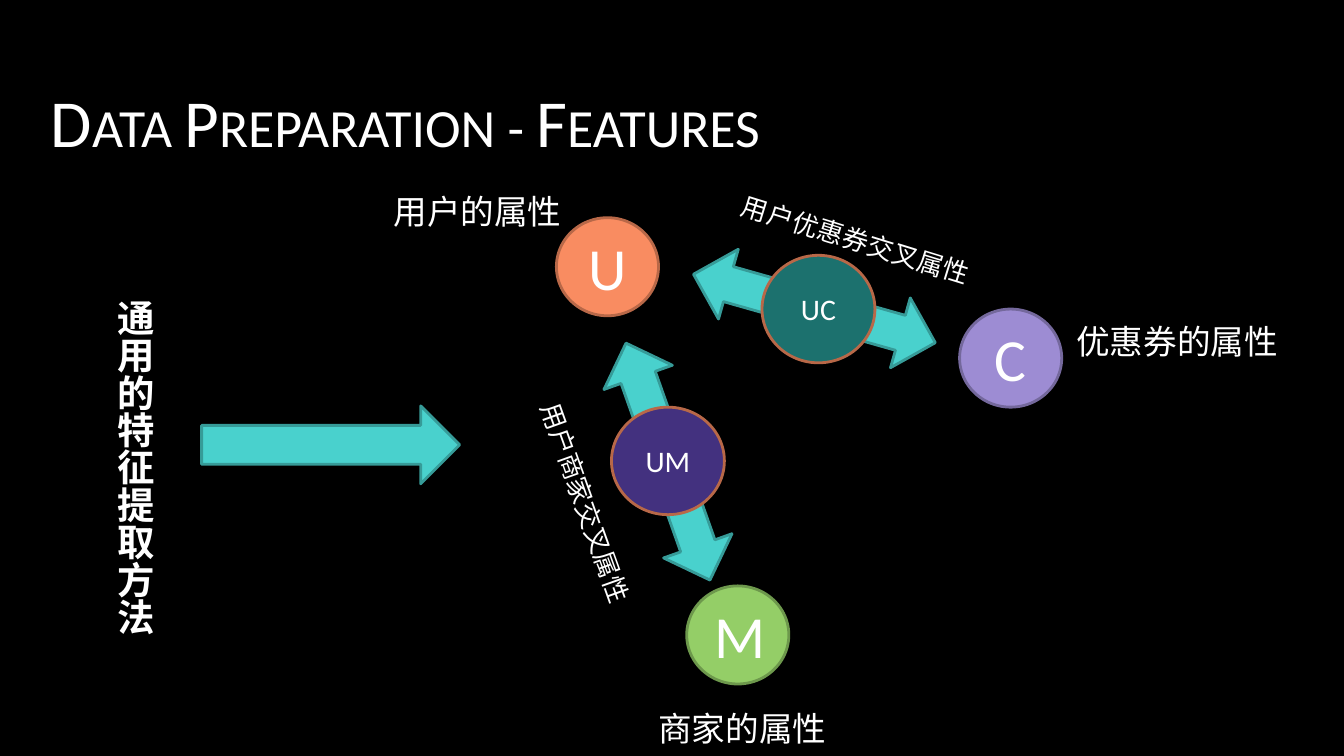
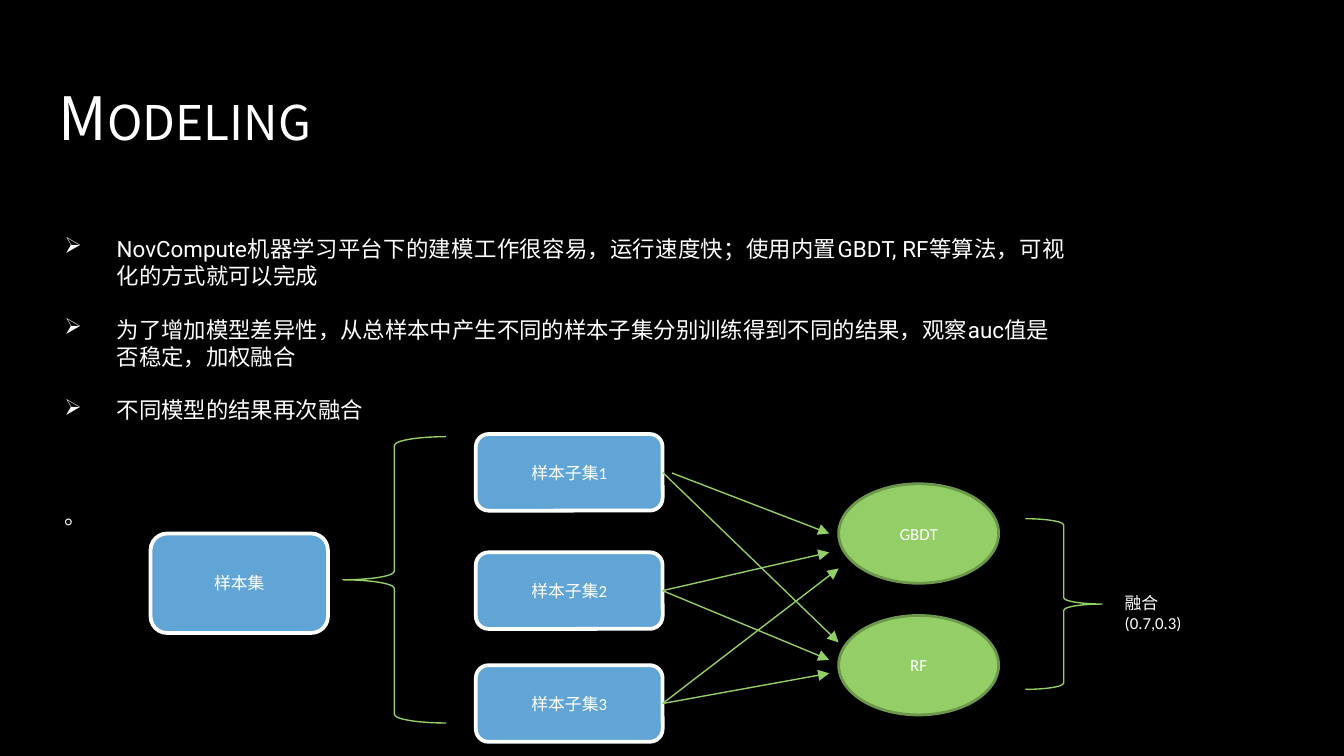
from dataclasses import dataclass

from lxml.etree import SubElement
from pptx import Presentation
from pptx.dml.color import RGBColor
from pptx.enum.shapes import MSO_CONNECTOR as Link, MSO_SHAPE as Shape
from pptx.enum.text import MSO_ANCHOR as Anchor, MSO_AUTO_SIZE as Fit, PP_ALIGN as Align
from pptx.oxml.ns import qn
from pptx.util import Inches, Pt

COLUMNS = 100
SLIDE_WIDTH = Inches(10)
CELL = SLIDE_WIDTH // COLUMNS


@dataclass(frozen=True)
class Theme:
    """Colours, fonts and type sizes used on every slide."""
    black: str = "000000"
    white: str = "FFFFFF"
    orange: str = "F98C61"
    rust: str = "B86848"
    lilac: str = "9D8CD3"
    lilac_edge: str = "74689C"
    green: str = "94CE67"
    green_edge: str = "6D984C"
    cyan: str = "49D1CD"
    cyan_edge: str = "369B98"
    indigo: str = "43317F"
    teal: str = "1C716E"
    blue: str = "61A5D6"
    font: str = "Calibri"
    cjk_font: str = "Noto Sans CJK SC"
    body_font: str = "Roboto"
    entity: int = 32
    heading: int = 20
    label: int = 18
    pair: int = 16
    cross_label: int = 14
    body: int = 12
    node: int = 9


THEME = Theme()


def cells(*lengths):
    """Turn grid cells into slide lengths."""
    return [round(length * CELL) for length in lengths]


def write(paragraph, text, size, font=THEME.font, bold=False):
    """Add one white run to a paragraph and return it."""
    run = paragraph.add_run()
    run.text = text
    formats = {"size": Pt(size), "name": font, "bold": bold}
    for key, value in formats.items():
        setattr(run.font, key, value)
    run.font.color.rgb = RGBColor.from_string(THEME.white)
    SubElement(run.font._element, qn("a:ea"), typeface=THEME.cjk_font)
    return run


def paint_line(line, colour, width):
    """Give a line its colour and width."""
    line.color.rgb = RGBColor.from_string(colour)
    line.width = Pt(width)


def add_figure(slide, kind, box, fill, edge, width=1.5, text="", size=THEME.node, angle=0):
    """Draw a preset shape with an optional centred caption."""
    figure = slide.shapes.add_shape(kind, *cells(*box))
    figure.shadow.inherit = False
    figure.rotation = angle
    if fill:
        figure.fill.solid()
        figure.fill.fore_color.rgb = RGBColor.from_string(fill)
    else:
        figure.fill.background()
    paint_line(figure.line, edge, width)
    if text:
        figure.text_frame.vertical_anchor = Anchor.MIDDLE
        paragraph = figure.text_frame.paragraphs[0]
        paragraph.alignment = Align.CENTER
        write(paragraph, text, size)
    return figure


def add_label(slide, box, text, size, angle=0, bold=False, wrap=False, vertical=False):
    """Place a free label, turned or stacked when asked."""
    label = slide.shapes.add_textbox(*cells(*box))
    label.rotation = angle
    frame = label.text_frame
    frame.word_wrap = wrap
    frame.auto_size = Fit.SHAPE_TO_FIT_TEXT
    if vertical:
        frame._txBody.bodyPr.set("vert", "eaVert")
    write(frame.paragraphs[0], text, size, bold=bold)


def add_frame(slide, box, top_inset=1):
    """Add a wrapping text frame with one-cell insets."""
    frame = slide.shapes.add_textbox(*cells(*box)).text_frame
    frame.word_wrap = True
    for side in ("left", "right", "bottom"):
        setattr(frame, f"margin_{side}", CELL)
    frame.margin_top = round(top_inset * CELL)
    return frame


def start_slide(deck, title, box, size, font, spacing=1.0):
    """Add a blank slide with the title band and small-caps title."""
    slide = deck.slides.add_slide(deck.slide_layouts[6])
    add_figure(slide, Shape.RECTANGLE, (0, 4.8, COLUMNS, 8.7), THEME.black, THEME.black)
    paragraph = add_frame(slide, box).paragraphs[0]
    paragraph.line_spacing = spacing
    write(paragraph, title, size, font).font._element.set("cap", "small")
    return slide


def add_arrow(slide, start, end, source=None):
    """Draw a thin arrow, joined to the right side of its source if given."""
    arrow = slide.shapes.add_connector(Link.STRAIGHT, *cells(*start, *end))
    if source:
        arrow.begin_connect(source, 3)
    paint_line(arrow.line, THEME.green, 0.75)
    properties = arrow._element.spPr
    SubElement(properties.find(qn("a:ln")), qn("a:tailEnd"), type="triangle")
    SubElement(properties, qn("a:effectLst"))


def add_points(slide, box, points, closing):
    """Write the bulleted points and the closing line below them."""
    frame = add_frame(slide, box, top_inset=3)
    for index, point in enumerate(points):
        paragraph = frame.paragraphs[0] if index == 0 else frame.add_paragraph()
        paragraph.space_before = Pt(14.4 if index else 0)
        paragraph.alignment = Align.LEFT if index else Align.JUSTIFY
        layout = paragraph._p.get_or_add_pPr()
        for key, value in {"marL": Inches(0.5), "indent": Inches(-0.39)}.items():
            layout.set(key, str(value))
        colour = SubElement(layout, qn("a:buClr"))
        SubElement(colour, qn("a:srgbClr"), val=THEME.white)
        SubElement(layout, qn("a:buChar"), char="➢")
        write(paragraph, point, THEME.body, THEME.body_font)
    last = frame.add_paragraph()
    last.space_before = Pt(42)
    last._p.get_or_add_pPr().set("marL", str(Inches(0.11)))
    write(last, closing, THEME.body, THEME.body_font)


def build_features(deck):
    """Show the users, coupons and merchants with their cross features."""
    slide = start_slide(deck, "Data Preparation - Features", (2.8, 5, 93.8, 5.1), 36, THEME.font)
    entities = (
        ("U", 41.4, 16.2, THEME.orange, THEME.rust),
        ("C", 71.4, 23, THEME.lilac, THEME.lilac_edge),
        ("M", 51.1, 43.6, THEME.green, THEME.green_edge),
    )
    for letter, column, row, fill, edge in entities:
        add_figure(slide, Shape.OVAL, (column, row, 7.6, 7.3), fill, edge,
                   text=letter, size=THEME.entity)
    pairs = (
        ("UM", (45.5, 30.3), THEME.indigo, (47, 25), 340.5),
        ("UC", (56.7, 19), THEME.teal, (57.9, 13.6), 285.8),
    )
    for name, place, fill, arrow_place, angle in pairs:
        add_figure(slide, Shape.UP_DOWN_ARROW, (*arrow_place, 5.4, 18.7),
                   THEME.cyan, THEME.cyan_edge, angle=angle)
        add_figure(slide, Shape.OVAL, (*place, 8.4, 8), fill, THEME.rust,
                   text=name, size=THEME.pair)
    add_figure(slide, Shape.RIGHT_ARROW, (15, 30.2, 19.2, 5.8), THEME.cyan, THEME.cyan_edge)
    labels = (
        ("用户的属性", (28.3, 13.7, 14.6, 4), THEME.label, 0),
        ("优惠券的属性", (79.1, 23.4, 17.2, 4), THEME.label, 0),
        ("商家的属性", (48, 52.2, 14.6, 4), THEME.label, 0),
        ("用户商家交叉属性", (34.7, 35.8, 17.7, 3.4), THEME.cross_label, 70.3),
        ("用户优惠券交叉属性", (53.9, 16.2, 19.7, 3.4), THEME.cross_label, 17.2),
    )
    for text, box, size, angle in labels:
        add_label(slide, box, text, size, angle)
    add_label(slide, (6.8, 21.3, 5.4, 25.9), "通用的特征提取方法", THEME.heading,
              bold=True, vertical=True)


def build_modeling(deck):
    """Show how sample subsets feed two models that are then merged."""
    slide = start_slide(deck, "Modeling", (3.4, 5.6, 93.2, 6.5), 32, THEME.cjk_font, 0.9)

    def add_sample(box, text):
        """Draw a rounded sample box."""
        return add_figure(slide, Shape.ROUNDED_RECTANGLE, box, THEME.blue, THEME.white, 2, text)

    add_sample((11.2, 39.7, 13.2, 7.4), "样本集")
    subsets = [add_sample((35.4, row, 13.9, 5.7), f"样本子集{number}")
               for number, row in enumerate((32.3, 41.1, 49.5), 1)]
    for model, row in (("GBDT", 36), ("RF", 45.8)):
        add_figure(slide, Shape.OVAL, (62.4, row, 11.9, 7.4),
                   THEME.green, THEME.green_edge, text=model)
    braces = (
        (Shape.LEFT_BRACE, (25.5, 32.5, 7.7, 21.3)),
        (Shape.RIGHT_BRACE, (76.3, 38.6, 5.7, 12.7)),
    )
    for kind, box in braces:
        add_figure(slide, kind, box, None, THEME.green, 0.75)
    add_arrow(slide, (50, 35.2), (61.7, 39.7))
    targets = (
        (0, (62.4, 47.8)),
        (1, (61.7, 41.1)),
        (1, (61.7, 49.1)),
        (2, (62.4, 42.3)),
        (2, (61.7, 50.1)),
    )
    for subset, end in targets:
        add_arrow(slide, (49.3, 35.2), end, subsets[subset])
    add_label(slide, (82.7, 43.6, 8.6, 2.5), "融合(0.7,0.3)", THEME.node, wrap=True)
    points = (
        "NovCompute机器学习平台下的建模工作很容易，运行速度快；使用内置GBDT, RF等算法，可视化的方式就可以完成",
        "为了增加模型差异性，从总样本中产生不同的样本子集分别训练得到不同的结果，观察auc值是否稳定，加权融合",
        "不同模型的结果再次融合",
    )
    add_points(slide, (2.7, 14.5, 77.5, 14.9), points, "。")


def main():
    """Build both slides and save the deck."""
    deck = Presentation()
    deck.slide_width = SLIDE_WIDTH
    deck.slide_height = SLIDE_WIDTH * 9 // 16
    backdrop = deck.slide_master.background.fill
    backdrop.solid()
    backdrop.fore_color.rgb = RGBColor.from_string(THEME.black)
    build_features(deck)
    build_modeling(deck)
    deck.save("out.pptx")


if __name__ == "__main__":
    main()
